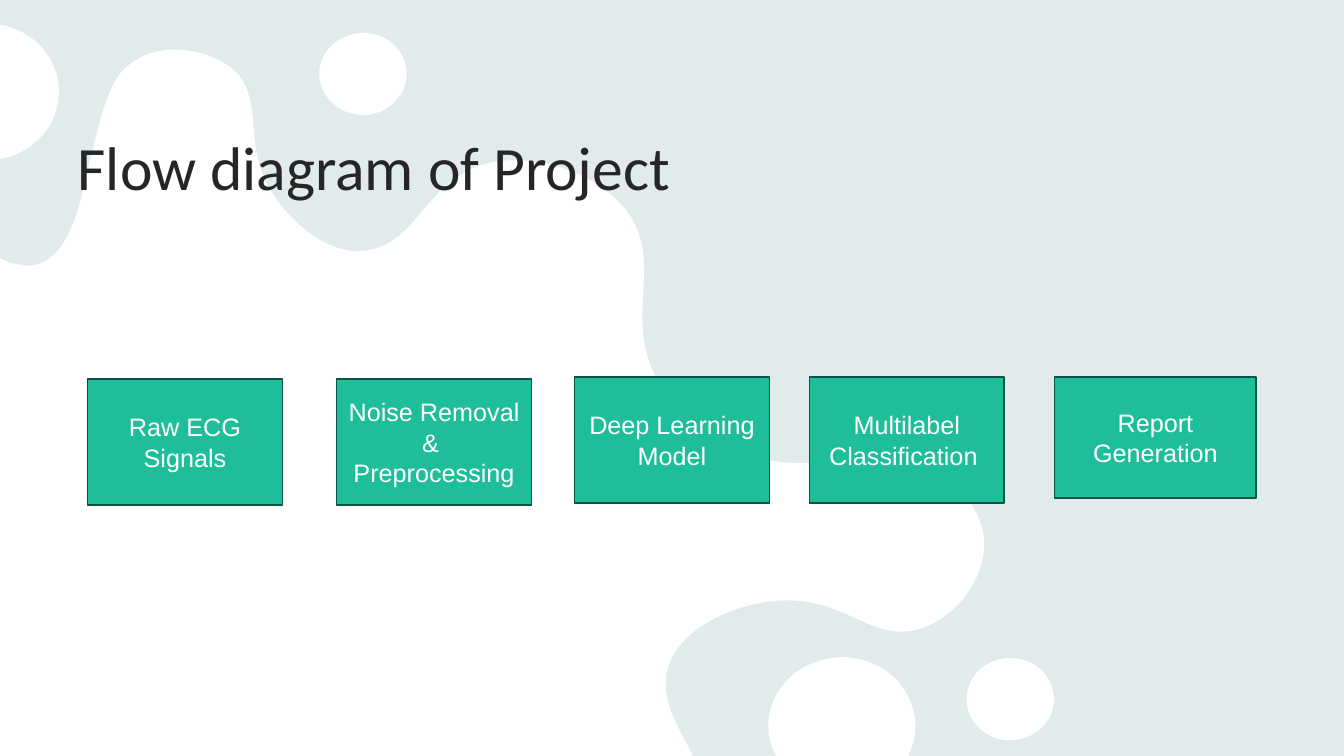
from dataclasses import dataclass

from pptx import Presentation
from pptx.dml.color import RGBColor
from pptx.enum.shapes import MSO_SHAPE
from pptx.enum.text import MSO_ANCHOR, PP_ALIGN
from pptx.oxml import parse_xml
from pptx.oxml.ns import nsdecls, qn
from pptx.util import Inches, Pt

COLORS = {
    "back": "E9F3F3",
    "veil": "AEAEAE",
    "blob": "FFFFFF",
    "title": "262626",
    "fill": "1EBE9B",
    "edge": "0D5344",
    "text": "FFFFFF",
}


@dataclass
class Box:
    left: float
    top: float
    lines: tuple[str, ...]
    width: float = 1.93
    height: float = 1.25


@dataclass
class Outline:
    """A start point, cubic curves of three points each, then straight corners."""
    curves: str
    corners: str = ""


BOXES = [
    Box(0.87, 3.76, ("Raw ECG Signals",)),
    Box(3.34, 3.76, ("Noise Removal", "& ", "Preprocessing")),
    Box(5.7, 3.74, ("Deep Learning", "Model")),
    Box(8.03, 3.74, ("Multilabel", "Classification ")),
    Box(10.46, 3.74, ("Report Generation",), 2, 1.2),
]

BLOBS = [
    Outline("9.97,6.53 10.12,6.52 10.27,6.57 10.36,6.68 10.41,6.74 10.44,6.81 10.45,6.89 "
            "10.48,7.11 10.31,7.31 10.07,7.34 9.84,7.37 9.62,7.21 9.59,6.99 "
            "9.56,6.76 9.73,6.56 9.97,6.53"),
    Outline("7.66,7.42 7.53,7.06 7.74,6.67 8.12,6.56 8.2,6.53 8.27,6.52 8.35,6.52 "
            "8.58,6.52 8.8,6.62 8.94,6.8 8.98,6.86 9.02,6.92 9.04,6.99 "
            "9.09,7.12 9.09,7.26 9.05,7.39",
            "9.01,7.5 7.7,7.5"),
    Outline("0.08,2.6 0.19,2.63 0.29,2.65 0.38,2.62 0.67,2.53 0.78,2.09 0.85,1.78 "
            "1.04,0.97 1.1,0.74 1.36,0.59 1.45,0.53 1.57,0.5 1.7,0.49 "
            "1.91,0.49 2.13,0.55 2.29,0.67 2.67,0.98 2.35,1.47 2.76,2 "
            "2.81,2.07 3.16,2.52 3.59,2.49 4.15,2.45 4.2,1.78 4.84,1.62 "
            "5.29,1.51 5.88,1.7 6.18,2.05 6.65,2.6 6.1,3.2 6.6,3.89 "
            "6.94,4.38 7.53,4.54 7.58,4.55 8.27,4.73 8.66,4.29 9.18,4.59 "
            "9.28,4.65 9.63,4.86 9.73,5.21 9.75,5.26 9.76,5.31 9.76,5.36 "
            "9.78,5.74 9.48,6.13 9.12,6.24 8.63,6.38 8.39,5.91 7.71,5.96 "
            "7.36,5.98 6.84,6.17 6.66,6.53 6.51,6.84 6.68,7.14 6.85,7.45",
            "6.87,7.5 0,7.5 0,2.56"),
    Outline("3.55,0.33 3.7,0.31 3.85,0.37 3.94,0.48 3.99,0.54 4.02,0.61 4.03,0.68 "
            "4.06,0.9 3.89,1.11 3.65,1.14 3.41,1.16 3.2,1 3.17,0.78 "
            "3.14,0.56 3.31,0.36 3.55,0.33"),
    Outline("0.07,0.26 0.22,0.3 0.35,0.39 0.44,0.5 0.49,0.56 0.52,0.63 0.55,0.7 "
            "0.67,1.06 0.47,1.44 0.08,1.56",
            "0,1.58 0,0.25 0.04,0.25"),
]


def color(name: str) -> RGBColor:
    return RGBColor.from_string(COLORS[name])


def points(text: str) -> list[tuple[int, int]]:
    pairs = [pair.split(",") for pair in text.split()]
    return [(Inches(float(x)), Inches(float(y))) for x, y in pairs]


def paint(shape, fill: str, edge: str = "") -> None:
    shape.shadow.inherit = False
    shape.fill.solid()
    shape.fill.fore_color.rgb = color(fill)
    if edge:
        shape.line.color.rgb = color(edge)
        shape.line.width = Pt(1)
    else:
        shape.line.fill.background()


def write(shape, lines: tuple[str, ...], *, size: int, font: str, tint: str,
          align: PP_ALIGN, anchor: MSO_ANCHOR) -> None:
    frame = shape.text_frame
    frame.word_wrap = True
    frame.vertical_anchor = anchor
    frame.text = "\n".join(lines)
    for para in frame.paragraphs:
        para.alignment = align
        for run in para.runs:
            run.font.size = Pt(size)
            run.font.name = font
            run.font.color.rgb = color(tint)


def draw_veil(slide, width: int, height: int) -> None:
    veil = slide.shapes.add_shape(MSO_SHAPE.RECTANGLE, 0, 0, width, height)
    paint(veil, "veil")
    tint = veil.fill._xPr.solidFill[0]
    tint.append(parse_xml(f'<a:alpha {nsdecls("a")} val="10000"/>'))


def bend(sides: list) -> None:
    """Turn each three straight sides into one cubic curve."""
    for i in range(0, len(sides), 3):
        curve = parse_xml(f'<a:cubicBezTo {nsdecls("a")}/>')
        sides[i].addprevious(curve)
        for side in sides[i:i + 3]:
            curve.append(side[0])
            side.getparent().remove(side)


def draw_blobs(slide) -> None:
    pen = None
    for blob in BLOBS:
        start, *rest = points(blob.curves) + points(blob.corners)
        if pen is None:
            pen = slide.shapes.build_freeform(*start)
        else:
            pen.move_to(*start)
        pen.add_line_segments(rest)
    shape = pen.convert_to_shape()
    paint(shape, "blob")
    starts = list(shape._element.iter(qn("a:moveTo")))
    for start, blob in zip(starts, BLOBS):
        count = len(points(blob.curves)) - 1
        bend(list(start.itersiblings())[:count])


def draw_title(slide) -> None:
    title = slide.shapes.title
    title.left, title.top = Inches(0.67), Inches(0.61)
    title.width, title.height = Inches(12), Inches(1.45)
    write(title, ("Flow diagram of Project",), size=44, font="Calibri", tint="title",
          align=PP_ALIGN.LEFT, anchor=MSO_ANCHOR.BOTTOM)
    slide.shapes._spTree.append(title._element)  # bring in front of the blobs


def draw_box(slide, box: Box) -> None:
    shape = slide.shapes.add_shape(MSO_SHAPE.RECTANGLE, Inches(box.left), Inches(box.top),
                                   Inches(box.width), Inches(box.height))
    paint(shape, "fill", "edge")
    write(shape, box.lines, size=18, font="Arial", tint="text",
          align=PP_ALIGN.CENTER, anchor=MSO_ANCHOR.MIDDLE)


def main() -> None:
    deck = Presentation()
    deck.slide_width, deck.slide_height = Inches(13.33), Inches(7.5)
    slide = deck.slides.add_slide(deck.slide_layouts[5])
    slide.background.fill.solid()
    slide.background.fill.fore_color.rgb = color("back")
    draw_veil(slide, deck.slide_width, deck.slide_height)
    draw_blobs(slide)
    draw_title(slide)
    for box in BOXES:
        draw_box(slide, box)
    deck.save("out.pptx")


if __name__ == "__main__":
    main()
